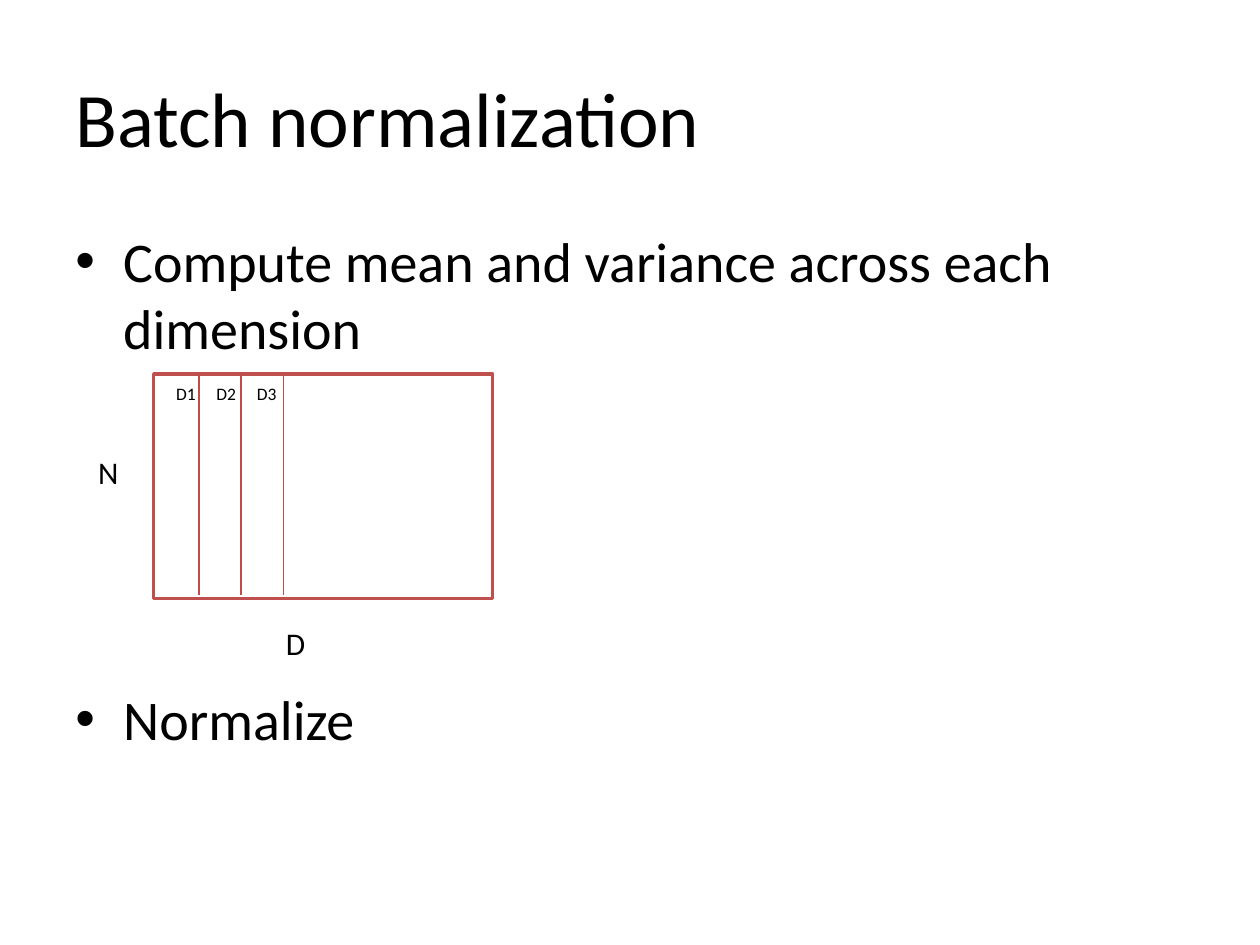
from lxml.etree import SubElement
from pptx import Presentation
from pptx.dml.color import RGBColor
from pptx.enum.shapes import MSO_CONNECTOR, MSO_SHAPE
from pptx.enum.text import MSO_ANCHOR, MSO_AUTO_SIZE
from pptx.oxml.ns import qn
from pptx.util import Inches, Pt

BLACK = RGBColor(0x00, 0x00, 0x00)
WHITE = RGBColor(0xFF, 0xFF, 0xFF)
RED = RGBColor(0xC0, 0x50, 0x4D)
RULE = RGBColor(0xBF, 0x4C, 0x48)


class Deck:
    """Style and current slide; lengths are cells of a 100 by 75 grid."""
    font = "Calibri"
    cell = Inches(0.1)

    def __init__(self):
        self.file = Presentation()
        self.file.slide_width = 100 * self.cell
        self.file.slide_height = 75 * self.cell
        self.slide = self.file.slides.add_slide(self.file.slide_layouts[6])

    def grid(self, *cells):
        return [round(n * self.cell) for n in cells]

    def text(self, area, lines, size, bullet=False, gaps=(0,), **form):
        frame = self.slide.shapes.add_textbox(*self.grid(*area)).text_frame
        for name, value in ({"word_wrap": True} | form).items():
            setattr(frame, name, value)
        frame.text = "\n".join(lines)
        for par, gap in zip(frame.paragraphs, gaps):
            par.space_before = Pt(gap)
            look = {"name": self.font, "size": Pt(size)}
            for name, value in look.items():
                setattr(par.runs[0].font, name, value)
            par.runs[0].font.color.rgb = BLACK
            if bullet:
                self.bullet(par)

    def bullet(self, par):
        props = par._p.get_or_add_pPr()
        props.set("marL", str(Inches(0.38)))
        props.set("indent", str(-Inches(0.38)))
        SubElement(props, qn("a:buFont"), typeface="Arial")
        SubElement(props, qn("a:buChar"), char="•")

    def label(self, left, top, height, word, size):
        self.text((left, top, 3.6, height), [word], size, word_wrap=False,
                  auto_size=MSO_AUTO_SIZE.SHAPE_TO_FIT_TEXT)

    def box(self, area, fill, edge, width):
        shape = self.slide.shapes.add_shape(MSO_SHAPE.RECTANGLE, *self.grid(*area))
        shape.shadow.inherit = False
        shape.fill.solid()
        shape.fill.fore_color.rgb = fill
        shape.line.color.rgb = edge
        shape.line.width = Pt(width)

    def rule(self, x, top, end, color, width):
        line = self.slide.shapes.add_connector(
            MSO_CONNECTOR.STRAIGHT, *self.grid(x, top, x, end))
        line.line.color.rgb = color
        line.line.width = Pt(width)
        SubElement(line._element.spPr, qn("a:effectLst"))


def main():
    deck = Deck()

    # Title and bullets; the wide gap leaves room for the matrix
    deck.text((5, 3, 90, 12.5), ["Batch normalization"], 44,
              vertical_anchor=MSO_ANCHOR.MIDDLE)
    deck.text((5, 17.5, 90, 49.5),
              ["Compute mean and variance across each dimension", "Normalize"],
              32, bullet=True, gaps=(6.4, 185))

    # Data matrix with its first columns
    top = 29.7
    deck.box((12.2, top, 26.9, 17.8), WHITE, RED, 2)
    for i in range(3):
        deck.rule(15.8 + 3.35 * i, top, 47.2, RULE, 1)

    # Matrix sizes and column names
    deck.label(21.7, 49, 4, "D", 18)
    deck.label(6.8, 35.5, 4, "N", 18)
    for i in range(3):
        deck.label(13 + 3.2 * i, 29.9, 2.7, f"D{i + 1}", 10)

    deck.file.save("out.pptx")


if __name__ == "__main__":
    main()
